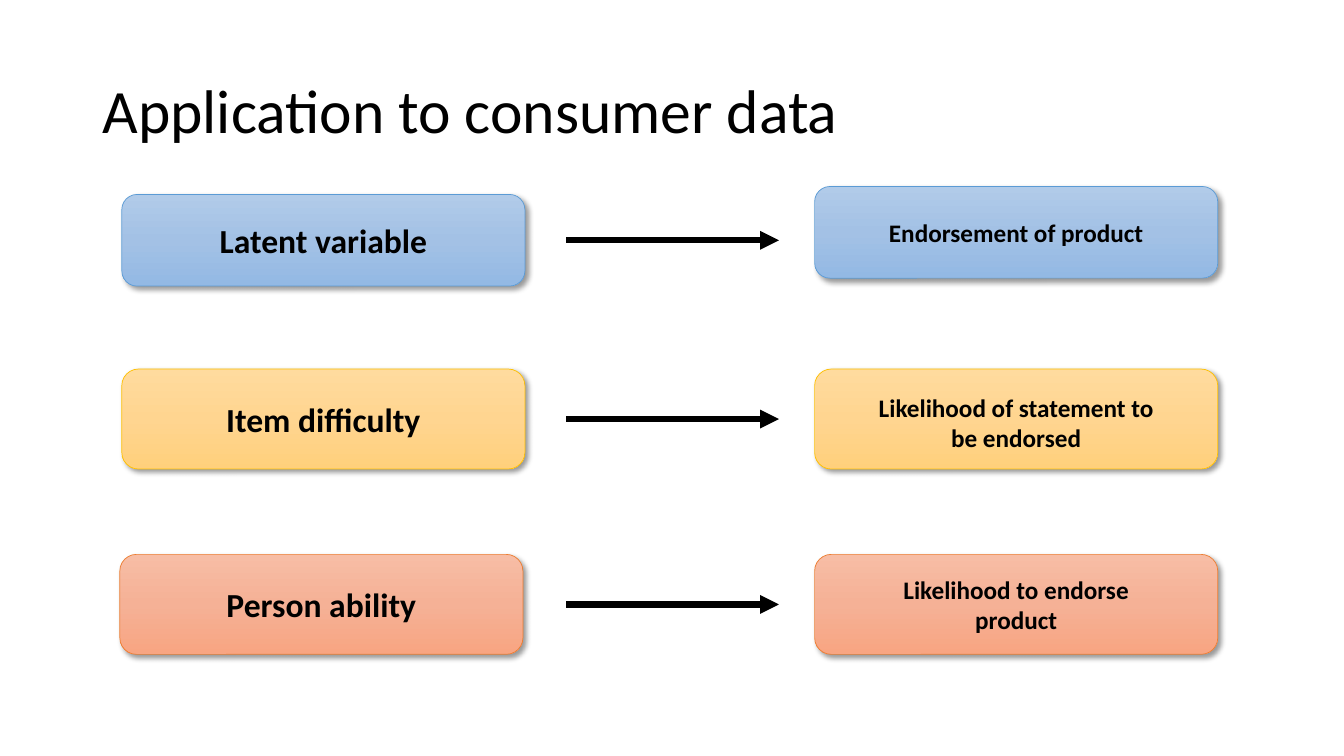
import copy
from dataclasses import dataclass

import pptx
import pptx.dml.color
import pptx.enum.shapes
import pptx.enum.text
import pptx.oxml
import pptx.oxml.ns
import pptx.shapes.autoshape
import pptx.shapes.connector
import pptx.slide
import pptx.util

Cm = pptx.util.Cm
Pt = pptx.util.Pt
RGBColor = pptx.dml.color.RGBColor

FONT = "Calibri"
BLACK = RGBColor(0x00, 0x00, 0x00)
BLUE_LINE = RGBColor(0x5B, 0x9B, 0xD5)
BLUE_STOPS = (RGBColor(0xB1, 0xCB, 0xE9), RGBColor(0xA3, 0xC1, 0xE5), RGBColor(0x93, 0xB9, 0xE4))
GOLD_LINE = RGBColor(0xFF, 0xC0, 0x00)
GOLD_STOPS = (RGBColor(0xFF, 0xDB, 0x9E), RGBColor(0xFF, 0xD5, 0x90), RGBColor(0xFF, 0xD0, 0x7C))
ORANGE_LINE = RGBColor(0xED, 0x7D, 0x31)
ORANGE_STOPS = (RGBColor(0xF7, 0xBD, 0xA5), RGBColor(0xF5, 0xB1, 0x96), RGBColor(0xF8, 0xA5, 0x82))

BOX_WIDTH = 10.16
APPLICATION_LEFT = 20.53
ARROW_START, ARROW_END = 14.27, 19.63
CONCEPT_SIZE, APPLICATION_SIZE = 24, 18

SHADOW_XML = (
    f'<a:outerShdw {pptx.oxml.ns.nsdecls("a")} blurRad="50800" dist="38100" dir="2700000"'
    ' algn="tl" rotWithShape="0">'
    '<a:srgbClr val="000000"><a:alpha val="40000"/></a:srgbClr></a:outerShdw>'
)
ARROWHEAD_XML = f'<a:tailEnd {pptx.oxml.ns.nsdecls("a")} type="triangle"/>'


@dataclass(frozen=True)
class Mapping:
    """A concept and its consumer-data counterpart; lengths in cm."""

    concept: str
    application: str
    concept_left: float
    concept_top: float
    application_top: float
    height: float
    outline: RGBColor
    stops: tuple[RGBColor, RGBColor, RGBColor]
    application_drop: float = 0


MAPPINGS = (
    Mapping("Latent variable", "Endorsement of product",
            3.07, 4.9, 4.7, 2.31, BLUE_LINE, BLUE_STOPS),
    Mapping("Item difficulty", "Likelihood of statement to be endorsed",
            3.07, 9.3, 9.3, 2.52, GOLD_LINE, GOLD_STOPS, 0.08),
    Mapping("Person ability", "Likelihood to endorse product",
            3.02, 13.97, 13.97, 2.52, ORANGE_LINE, ORANGE_STOPS),
)


def add_run(paragraph, text: str, size: float, bold: bool = False) -> None:
    run = paragraph.add_run()
    run.text = text
    run.font.name = FONT
    run.font.size = Pt(size)
    run.font.bold = bold
    run.font.color.rgb = BLACK


def fill_gradient(shape: pptx.shapes.autoshape.Shape, colors: tuple[RGBColor, ...]) -> None:
    """Fill from top to bottom with three evenly spaced colours."""
    shape.fill.gradient()
    shape.fill.gradient_angle = 270
    stop_list = shape._element.spPr.find(".//" + pptx.oxml.ns.qn("a:gsLst"))
    stop_list.append(copy.deepcopy(stop_list[-1]))
    for index, (stop, color) in enumerate(zip(shape.fill.gradient_stops, colors)):
        stop.position = index / 2
        stop.color.rgb = color


def add_box(slide: pptx.slide.Slide, mapping: Mapping, text: str, left: float, top: float,
            size: float, text_drop: float = 0) -> None:
    box = slide.shapes.add_shape(
        pptx.enum.shapes.MSO_SHAPE.ROUNDED_RECTANGLE,
        Cm(left), Cm(top), Cm(BOX_WIDTH), Cm(mapping.height))
    fill_gradient(box, mapping.stops)
    box.line.color.rgb = mapping.outline
    box.line.width = Pt(0.5)
    box.shadow.inherit = False
    effects = box._element.spPr.find(pptx.oxml.ns.qn("a:effectLst"))
    effects.append(pptx.oxml.parse_xml(SHADOW_XML))

    frame = box.text_frame
    frame.word_wrap = True
    frame.vertical_anchor = pptx.enum.text.MSO_ANCHOR.MIDDLE
    frame.margin_left = frame.margin_right = Cm(1.1)
    frame.margin_top, frame.margin_bottom = Cm(2 * text_drop), 0
    paragraph = frame.paragraphs[0]
    paragraph.alignment = pptx.enum.text.PP_ALIGN.CENTER
    add_run(paragraph, text, size, bold=True)


def add_arrow(slide: pptx.slide.Slide, y: float) -> None:
    arrow = slide.shapes.add_connector(
        pptx.enum.shapes.MSO_CONNECTOR.STRAIGHT,
        Cm(ARROW_START), Cm(y), Cm(ARROW_END), Cm(y))
    arrow.line.color.rgb = BLACK
    arrow.line.width = Pt(4.5)
    arrow.line._get_or_add_ln().append(pptx.oxml.parse_xml(ARROWHEAD_XML))
    arrow._element.spPr.append(pptx.oxml.parse_xml(
        f'<a:effectLst {pptx.oxml.ns.nsdecls("a")}/>'))


def add_title(slide: pptx.slide.Slide, text: str) -> None:
    title = slide.shapes.title
    title.left, title.top, title.width, title.height = Cm(2.33), Cm(1.01), Cm(29.21), Cm(3.68)
    frame = title.text_frame
    frame.word_wrap = True
    frame.auto_size = pptx.enum.text.MSO_AUTO_SIZE.NONE
    frame.vertical_anchor = pptx.enum.text.MSO_ANCHOR.MIDDLE
    paragraph = frame.paragraphs[0]
    paragraph.alignment = pptx.enum.text.PP_ALIGN.LEFT
    paragraph.line_spacing = 0.9
    add_run(paragraph, text, 44)


def main() -> None:
    presentation = pptx.Presentation()
    presentation.slide_width, presentation.slide_height = Cm(33.87), Cm(19.05)
    slide = presentation.slides.add_slide(presentation.slide_layouts.get_by_name("Title Only"))
    add_title(slide, "Application to consumer data")
    for mapping in MAPPINGS:
        add_box(slide, mapping, mapping.concept,
                mapping.concept_left, mapping.concept_top, CONCEPT_SIZE)
        add_box(slide, mapping, mapping.application, APPLICATION_LEFT,
                mapping.application_top, APPLICATION_SIZE, mapping.application_drop)
        add_arrow(slide, mapping.concept_top + mapping.height / 2)
    presentation.save("out.pptx")


if __name__ == "__main__":
    main()
